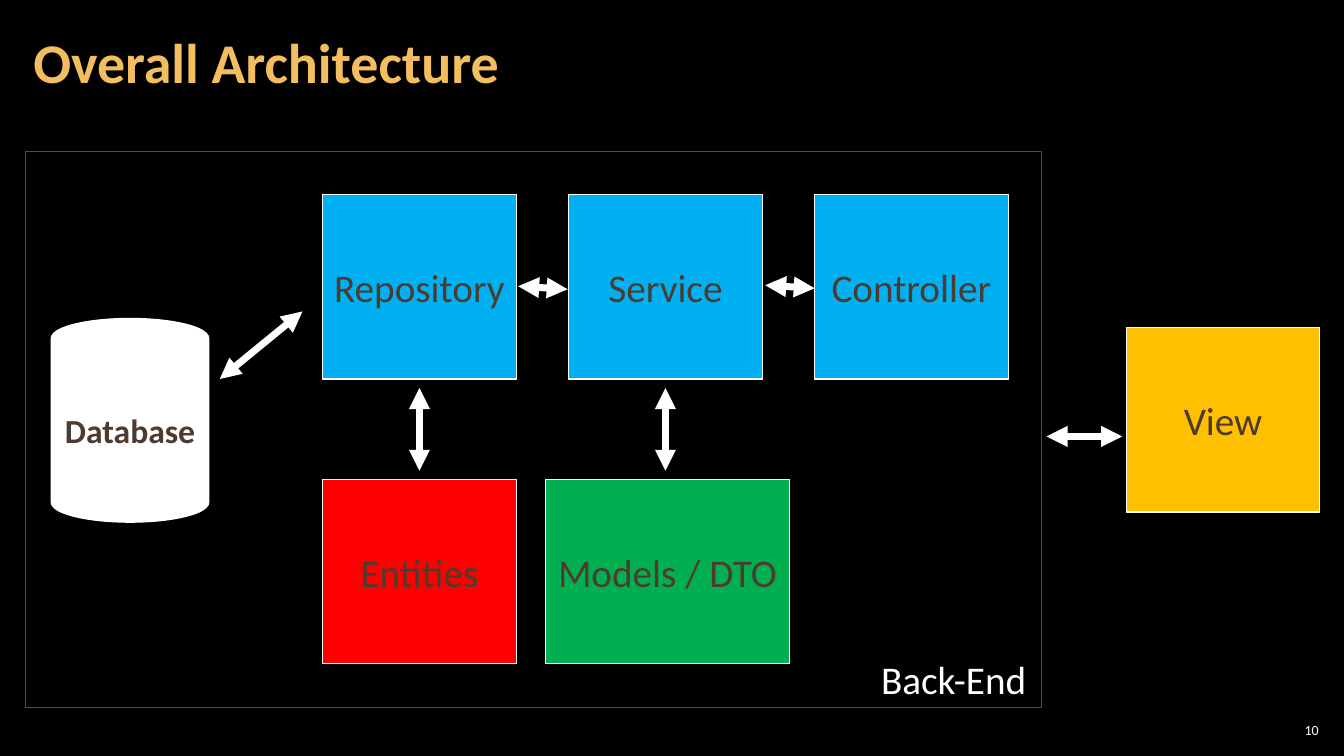
"""Build the Overall Architecture slide."""
from dataclasses import dataclass

from lxml import etree
from pptx import Presentation
from pptx.dml.color import RGBColor
from pptx.enum.shapes import MSO_CONNECTOR, MSO_SHAPE
from pptx.enum.text import MSO_ANCHOR, PP_ALIGN
from pptx.oxml.ns import qn
from pptx.util import Inches, Pt

RECT, CAN = MSO_SHAPE.RECTANGLE, MSO_SHAPE.CAN
STRAIGHT = MSO_CONNECTOR.STRAIGHT
MIDDLE, TOP = MSO_ANCHOR.MIDDLE, MSO_ANCHOR.TOP
LEFT, CENTER, RIGHT = PP_ALIGN.LEFT, PP_ALIGN.CENTER, PP_ALIGN.RIGHT


@dataclass(frozen=True)
class Theme:
    font: str = "Calibri"
    black: str = "000000"
    white: str = "FFFFFF"
    brown: str = "4E3B30"
    gold: str = "F3BE60"
    blue: str = "00B0F0"
    red: str = "FF0000"
    green: str = "00B050"
    amber: str = "FFC000"
    title_size: int = 40
    label_size: int = 28
    database_size: int = 24
    number_size: int = 10
    outline: int = 1
    arrow: int = 5


class Deck:
    def __init__(self, theme):
        self.theme = theme
        self.prs = Presentation()
        self.prs.slide_width, self.prs.slide_height = Inches(13.33), Inches(7.5)
        self.s = self.prs.slides.add_slide(self.prs.slide_layouts[5])
        self.s.background.fill.solid()
        self.s.background.fill.fore_color.rgb = RGBColor.from_string(theme.black)

    def set_text(self, sp, text, size, color, bold=False, align=LEFT, anchor=MIDDLE,
                 insets=(0.1, 0.05)):
        tf = sp.text_frame
        tf.word_wrap = True
        tf.vertical_anchor = anchor
        tf.margin_left = tf.margin_right = Inches(insets[0])
        tf.margin_top = tf.margin_bottom = Inches(insets[1])
        p = tf.paragraphs[0]
        p.text = text
        p.alignment = align
        p.font.name, p.font.size, p.font.bold = self.theme.font, Pt(size), bold
        p.font.color.rgb = RGBColor.from_string(color)
        return p

    def title(self, text, x, y, w, h):
        sp = self.s.shapes.title
        sp.left, sp.top, sp.width, sp.height = map(Inches, (x, y, w, h))
        p = self.set_text(sp, text, self.theme.title_size, self.theme.gold,
                          bold=True, insets=(0.12, 0.04))
        p.line_spacing = 0.9

    def text(self, text, x, y, w, h, size, **style):
        sp = self.s.shapes.add_textbox(*map(Inches, (x, y, w, h)))
        self.set_text(sp, text, size, self.theme.white, **style)

    def shape(self, kind, x, y, w, h, line, fill=None):
        sp = self.s.shapes.add_shape(kind, *map(Inches, (x, y, w, h)))
        sp.shadow.inherit = False
        if fill:
            sp.fill.solid()
            sp.fill.fore_color.rgb = RGBColor.from_string(fill)
        else:
            sp.fill.background()
        sp.line.color.rgb = RGBColor.from_string(line)
        sp.line.width = Pt(self.theme.outline)
        return sp

    def block(self, text, x, y, w, h, fill, kind=RECT, size=None, bold=False):
        sp = self.shape(kind, x, y, w, h, self.theme.white, fill)
        self.set_text(sp, text, size or self.theme.label_size, self.theme.brown,
                      bold=bold, align=CENTER)

    def arrow(self, x1, y1, x2, y2):
        c = self.s.shapes.add_connector(STRAIGHT, *map(Inches, (x1, y1, x2, y2)))
        c.line.color.rgb = RGBColor.from_string(self.theme.white)
        c.line.width = Pt(self.theme.arrow)
        spPr = c._element.spPr
        ln = spPr.find(qn("a:ln"))
        for end in ("a:headEnd", "a:tailEnd"):
            etree.SubElement(ln, qn(end), type="triangle")
        etree.SubElement(spPr, qn("a:effectLst"))


def main():
    t = Theme()
    deck = Deck(t)
    deck.text("10", 12.65, 7.14, 0.47, 0.21, t.number_size, align=RIGHT,
              insets=(0.04, 0.04))
    deck.title("Overall Architecture", 0.21, 0.04, 10.47, 1.21)

    deck.block("Database", 0.51, 3.16, 1.56, 2.02, t.white, kind=CAN,
               size=t.database_size, bold=True)
    left, pitch, width, height = 3.2, 2.44, 1.92, 1.83
    for i, layer in enumerate(("Repository", "Service", "Controller")):
        deck.block(layer, left + i * pitch, 1.93, width, height, t.blue)
    deck.block("Models / DTO", 5.41, 4.76, 2.42, 1.82, t.green)
    deck.block("Entities", left, 4.76, width, 1.82, t.red)

    deck.arrow(2.18, 3.76, 3, 3.09)
    for i in range(2):
        center = left + width / 2 + i * pitch
        deck.arrow(center, 4.67, center, 3.85)
    deck.arrow(5.14, 2.84, 5.63, 2.87)
    deck.arrow(7.59, 2.83, 8.08, 2.86)
    deck.arrow(10.38, 4.33, 11.13, 4.33)

    deck.text("Back-End", 8.64, 6.45, 1.7, 0.57, t.label_size, anchor=TOP)
    deck.shape(RECT, 0.25, 1.5, 10.08, 5.52, t.red)
    deck.block("View", 11.17, 3.25, width, height, t.amber)
    deck.prs.save("out.pptx")


if __name__ == "__main__":
    main()
